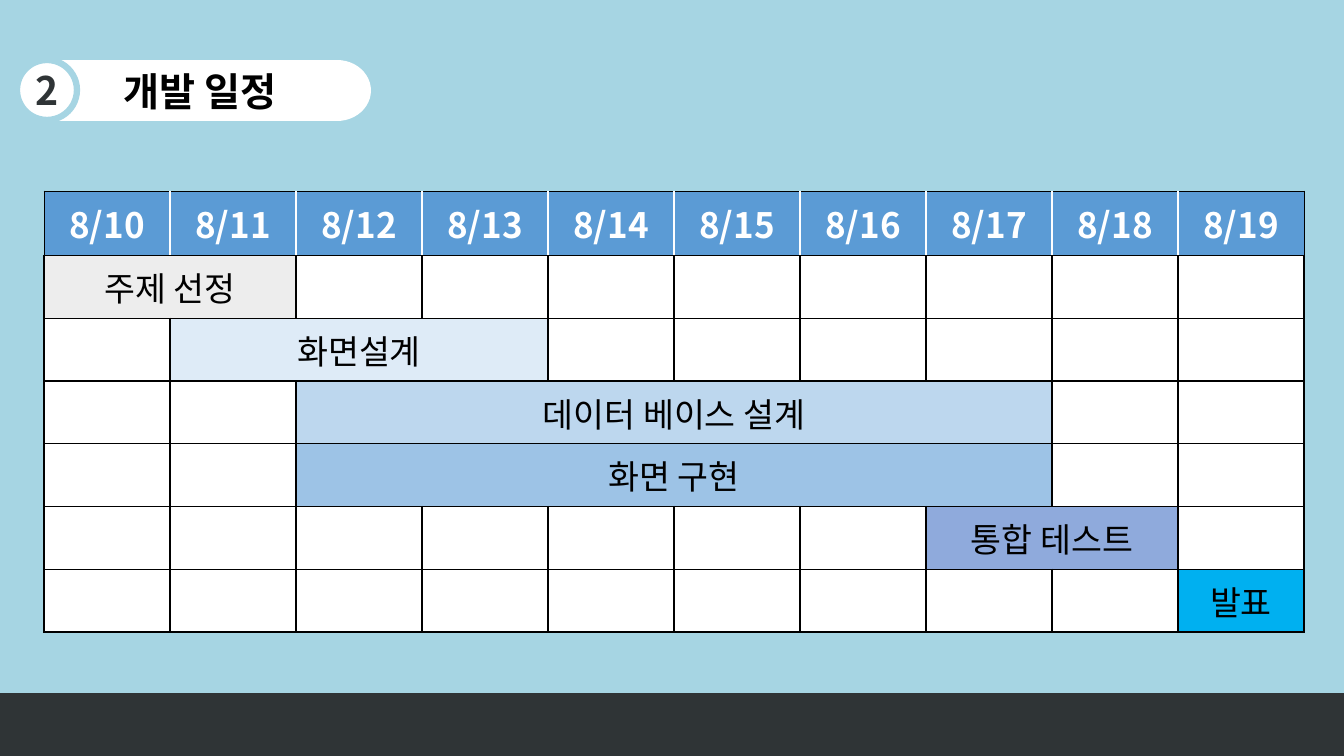
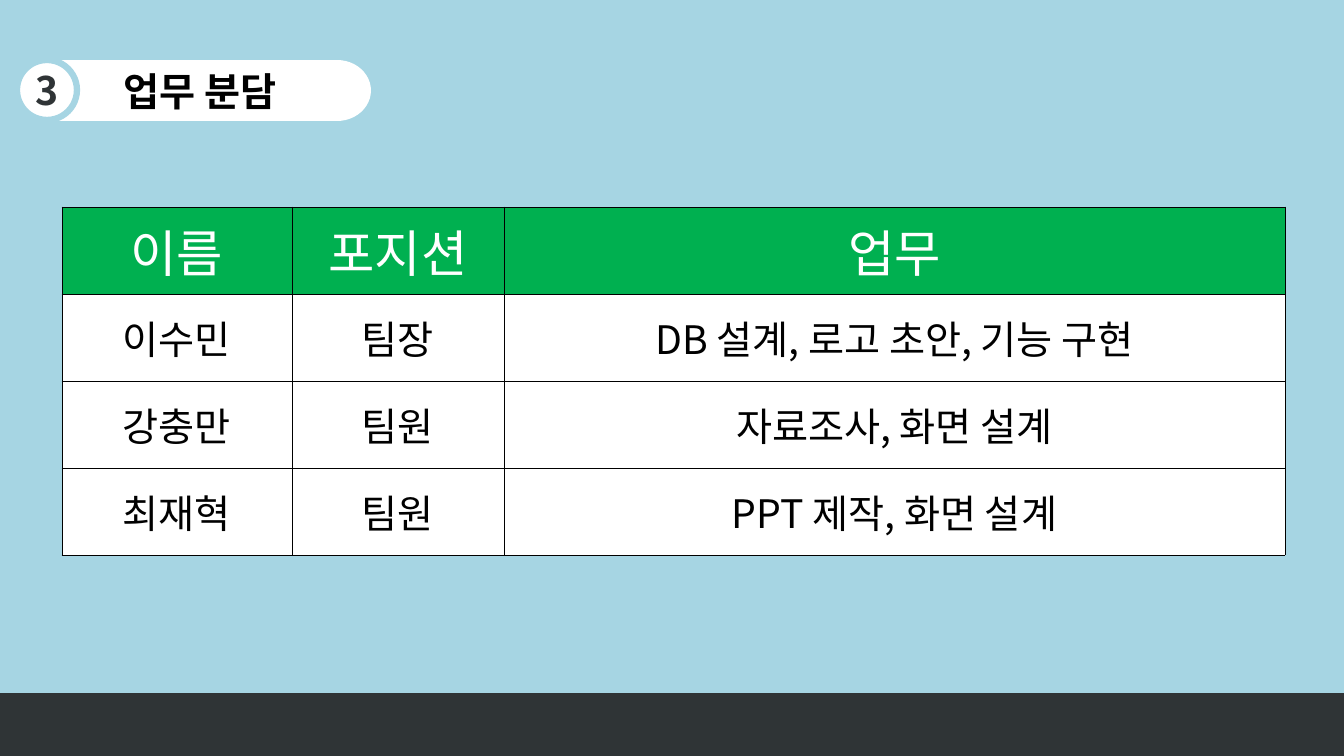
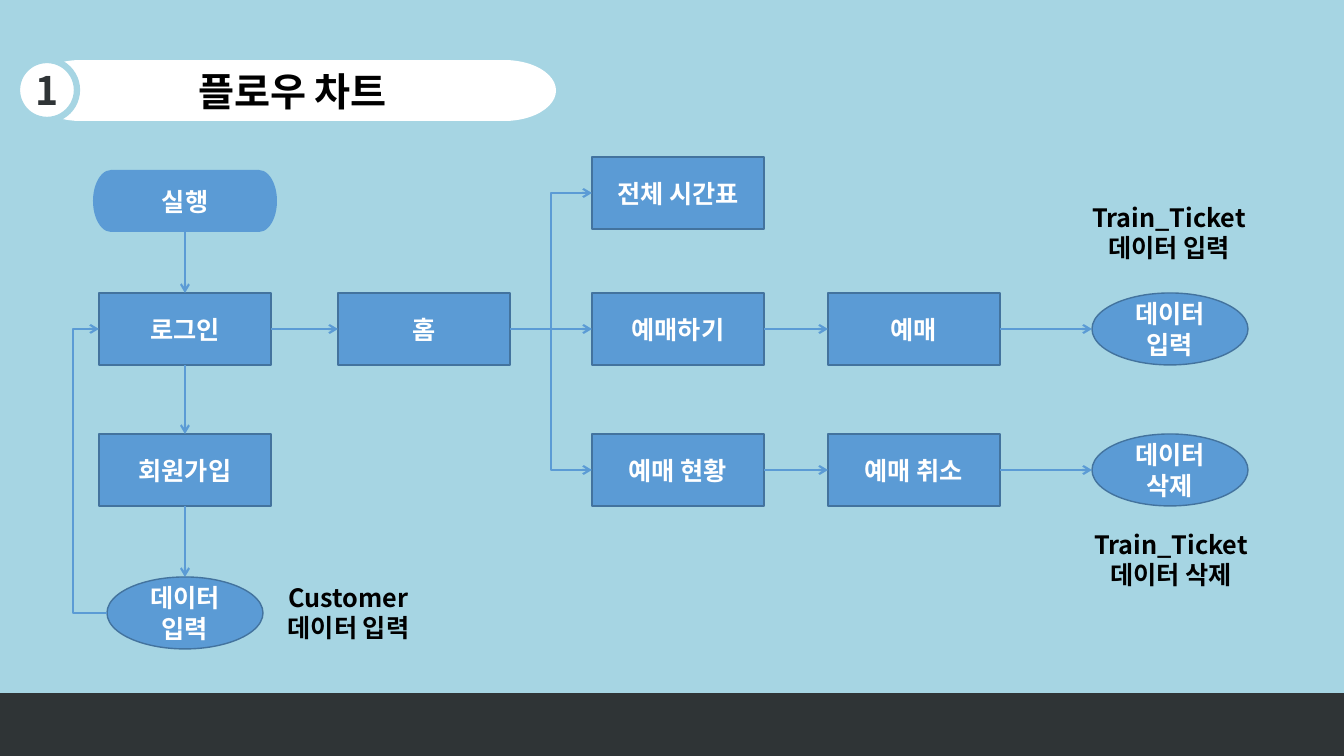
import pptx
import pptx.util
import pptx.dml.color
import pptx.enum.shapes
import pptx.enum.text
import pptx.oxml.ns
import lxml.etree

SCALE = 12192000 / 1344
FONT = "Noto Sans CJK KR"
SKY, DARK, WHITE, BLACK = "A6D5E3", "2F3436", "FFFFFF", "000000"
BLUE, BLUE_EDGE, GREEN = "5B9BD5", "43739E", "00B050"
SHAPES = pptx.enum.shapes.MSO_SHAPE
CONNECTORS = pptx.enum.shapes.MSO_CONNECTOR
MIDDLE = pptx.enum.text.MSO_ANCHOR.MIDDLE
TOP = pptx.enum.text.MSO_ANCHOR.TOP
CENTER = pptx.enum.text.PP_ALIGN.CENTER
qn = pptx.oxml.ns.qn


def px(length):
    return pptx.util.Emu(round(length * SCALE))


def colour(hex_string):
    return pptx.dml.color.RGBColor.from_string(hex_string)


def side(box, name):
    left, top, width, height = box
    return {
        "top": (left + width // 2, top),
        "bottom": (left + width // 2, top + height),
        "left": (left, top + height // 2),
        "right": (left + width, top + height // 2),
    }[name]


class Deck:
    def __init__(self):
        self.file = pptx.Presentation()
        self.file.slide_width, self.file.slide_height = px(1344), px(756)
        self.paint(self.file.slide_master.background, SKY)
        self.slide = None

    def paint(self, target, fill):
        target.fill.solid()
        target.fill.fore_color.rgb = colour(fill)

    def label(self, frame, text, size, ink, bold=True):
        frame.text = text
        for paragraph in frame.paragraphs:
            paragraph.alignment = CENTER
            for run in paragraph.runs:
                run.font.size = pptx.util.Pt(size)
                run.font.bold = bold
                run.font.color.rgb = colour(ink)
                run.font.name = FONT
                east_asian = lxml.etree.SubElement(run._r.get_or_add_rPr(), qn("a:ea"))
                east_asian.set("typeface", FONT)

    def start(self, number, title, width, cap):
        self.slide = self.file.slides.add_slide(self.file.slide_layouts[5])
        heading = self.slide.shapes.title
        core = self.caps((29, 60, width, 61), cap, WHITE)
        heading.left, heading.top, heading.width, heading.height = map(px, core)
        self.paint(heading, WHITE)
        self.label(heading.text_frame, title, 28, BLACK)
        heading.text_frame.vertical_anchor = MIDDLE
        heading.text_frame.auto_size = pptx.enum.text.MSO_AUTO_SIZE.NONE
        self.shape(SHAPES.OVAL, (17, 60, 60, 60), WHITE, (SKY, 4.5), str(number), 28, DARK)
        self.shape(SHAPES.RECTANGLE, (0, 694, 1344, 62), DARK, (DARK, 1))

    def shape(self, kind, box, fill, edge=None, text="", size=18, ink=WHITE):
        item = self.slide.shapes.add_shape(kind, *map(px, box))
        item.shadow.inherit = False
        self.paint(item, fill)
        if edge:
            item.line.color.rgb = colour(edge[0])
            item.line.width = pptx.util.Pt(edge[1])
        else:
            item.line.fill.background()
        if text:
            self.label(item.text_frame, text, size, ink)
            item.text_frame.vertical_anchor = MIDDLE

    def caps(self, box, cap, fill):
        left, top, width, height = box
        for cap_left in (left, left + width - cap):
            self.shape(SHAPES.OVAL, (cap_left, top, cap, height), fill)
        return left + cap // 2, top, width - cap, height

    def pill(self, text, box, cap):
        core = self.caps(box, cap, BLUE)
        self.shape(SHAPES.RECTANGLE, core, BLUE, text=text)
        return box

    def step(self, text, left, top):
        box = (left, top, 172, 72)
        self.shape(SHAPES.RECTANGLE, box, BLUE, (BLUE_EDGE, 1), text)
        return box

    def data(self, text, left, top):
        box = (left, top, 156, 72)
        self.shape(SHAPES.OVAL, box, BLUE, (BLUE_EDGE, 1), text)
        return box

    def note(self, text, left, top, width):
        frame = self.slide.shapes.add_textbox(*map(px, (left, top, width, 72))).text_frame
        frame.word_wrap = False
        self.label(frame, text, 18, BLACK)

    def arrow(self, start, end, kind=CONNECTORS.STRAIGHT, turn=None):
        link = self.slide.shapes.add_connector(kind, *map(px, start + end))
        link.line.color.rgb = colour(BLUE)
        link.line.width = pptx.util.Pt(1.5)
        properties = link.element.spPr
        lxml.etree.SubElement(properties.find(qn("a:ln")), qn("a:tailEnd")).set("type", "arrow")
        lxml.etree.SubElement(properties, qn("a:effectLst"))
        if turn is not None:
            ratio = (turn - start[0]) / (end[0] - start[0])
            guide = lxml.etree.SubElement(properties.find(".//" + qn("a:avLst")), qn("a:gd"))
            guide.set("name", "adj1")
            guide.set("fmla", f"val {round(ratio * 100000)}")

    def table(self, left, top, widths, row_height, row_count):
        box = (left, top, sum(widths), row_height * row_count)
        grid = self.slide.shapes.add_table(row_count, len(widths), *map(px, box)).table
        grid.horz_banding = False
        for column, width in zip(grid.columns, widths):
            column.width = px(width)
        for row in grid.rows:
            row.height = px(row_height)
        return grid

    def cell(self, target, fill, borders):
        properties = target._tc.get_or_add_tcPr()
        for edge in "LRTB":
            ink, width = borders[edge]
            line = lxml.etree.SubElement(properties, qn("a:ln" + edge))
            line.set("w", str(pptx.util.Pt(width)))
            solid = lxml.etree.SubElement(line, qn("a:solidFill"))
            lxml.etree.SubElement(solid, qn("a:srgbClr")).set("val", ink)
        self.paint(target, fill)

    def cell_text(self, target, text, size, ink, bold=False, anchor=MIDDLE, margins=None):
        self.label(target.text_frame, text, size, ink, bold)
        target.vertical_anchor = anchor
        if margins:
            target.margin_left = target.margin_right = px(margins[0])
            target.margin_top = target.margin_bottom = px(margins[1])


def schedule(deck):
    deck.start(2, "개발 일정", 342, 68)
    tasks = [
        ("주제 선정", 0, 2, "EDEDED"),
        ("화면설계", 1, 3, "DEEBF7"),
        ("데이터 베이스 설계", 2, 6, "BDD7EE"),
        ("화면 구현", 2, 6, "9DC3E6"),
        ("통합 테스트", 7, 2, "8FAADC"),
        ("발표", 9, 1, "00B0F0"),
    ]
    days = 10
    calendar = deck.table(44, 191, [126] * days, 57, len(tasks) + 1)
    thin, black, white = (BLACK, 0.5), (BLACK, 1), (WHITE, 1)
    for day in range(days):
        date = calendar.cell(0, day)
        deck.cell(date, BLUE, {
            "L": white if day else thin,
            "R": white if day < days - 1 else thin,
            "T": thin,
            "B": thin,
        })
        deck.cell_text(date, f"8/{10 + day}", 25, WHITE, True, TOP, (14, 7))
    for row, (task, first, length, fill) in enumerate(tasks, 1):
        borders = {"L": black, "R": black, "T": thin if row == 1 else black, "B": black}
        for day in range(days):
            busy = first <= day < first + length
            deck.cell(calendar.cell(row, day), fill if busy else WHITE, borders)
        bar = calendar.cell(row, first)
        if length > 1:
            bar.merge(calendar.cell(row, first + length - 1))
        deck.cell_text(bar, task, 24, BLACK, False, TOP, (14, 7))


def duties(deck):
    deck.start(3, "업무 분담", 342, 68)
    rows = [
        ("이름", "포지션", "업무"),
        ("이수민", "팀장", "DB 설계, 로고 초안, 기능 구현"),
        ("강충만", "팀원", "자료조사, 화면 설계"),
        ("최재혁", "팀원", "PPT 제작, 화면 설계"),
    ]
    members = deck.table(62, 207, [230, 212, 781], 87, len(rows))
    borders = dict.fromkeys("LRTB", (BLACK, 0.5))
    for row, texts in enumerate(rows):
        fill, size, ink = (WHITE, 28, BLACK) if row else (GREEN, 36, WHITE)
        for column, text in enumerate(texts):
            deck.cell(members.cell(row, column), fill, borders)
            deck.cell_text(members.cell(row, column), text, size, ink)


def flow_chart(deck):
    deck.start(1, "플로우 차트", 527, 104)
    entry_x, home_x, menu_x, action_x, data_x = 99, 338, 592, 828, 1092
    top_y, main_y, lower_y, bottom_y = 157, 293, 434, 577

    run = deck.pill("실행", (93, 170, 184, 62), 36)
    login = deck.step("로그인", entry_x, main_y)
    sign_up = deck.step("회원가입", entry_x, lower_y)
    customer = deck.data("데이터 입력", entry_x + 8, bottom_y)
    home = deck.step("홈", home_x, main_y)
    timetable = deck.step("전체 시간표", menu_x, top_y)
    booking = deck.step("예매하기", menu_x, main_y)
    status = deck.step("예매 현황", menu_x, lower_y)
    reserve = deck.step("예매", action_x, main_y)
    cancel = deck.step("예매 취소", action_x, lower_y)
    ticket_in = deck.data("데이터 입력", data_x, main_y)
    ticket_out = deck.data("데이터 삭제", data_x, lower_y)

    for upper, lower in ((run, login), (login, sign_up), (sign_up, customer)):
        deck.arrow(side(upper, "bottom"), side(lower, "top"))
    for before, after in (
        (login, home), (home, booking), (booking, reserve),
        (reserve, ticket_in), (status, cancel), (cancel, ticket_out),
    ):
        deck.arrow(side(before, "right"), side(after, "left"))
    for branch in (timetable, status):
        deck.arrow(side(home, "right"), side(branch, "left"), CONNECTORS.ELBOW)
    deck.arrow(side(customer, "left"), side(login, "left"), CONNECTORS.ELBOW, 73)

    deck.note("Customer\n데이터 입력", 276, bottom_y, 145)
    deck.note("Train_Ticket\n데이터 입력", 1078, 197, 182)
    deck.note("Train_Ticket\n데이터 삭제", 1080, 524, 182)


def main():
    deck = Deck()
    schedule(deck)
    duties(deck)
    flow_chart(deck)
    deck.file.save("out.pptx")


if __name__ == "__main__":
    main()
